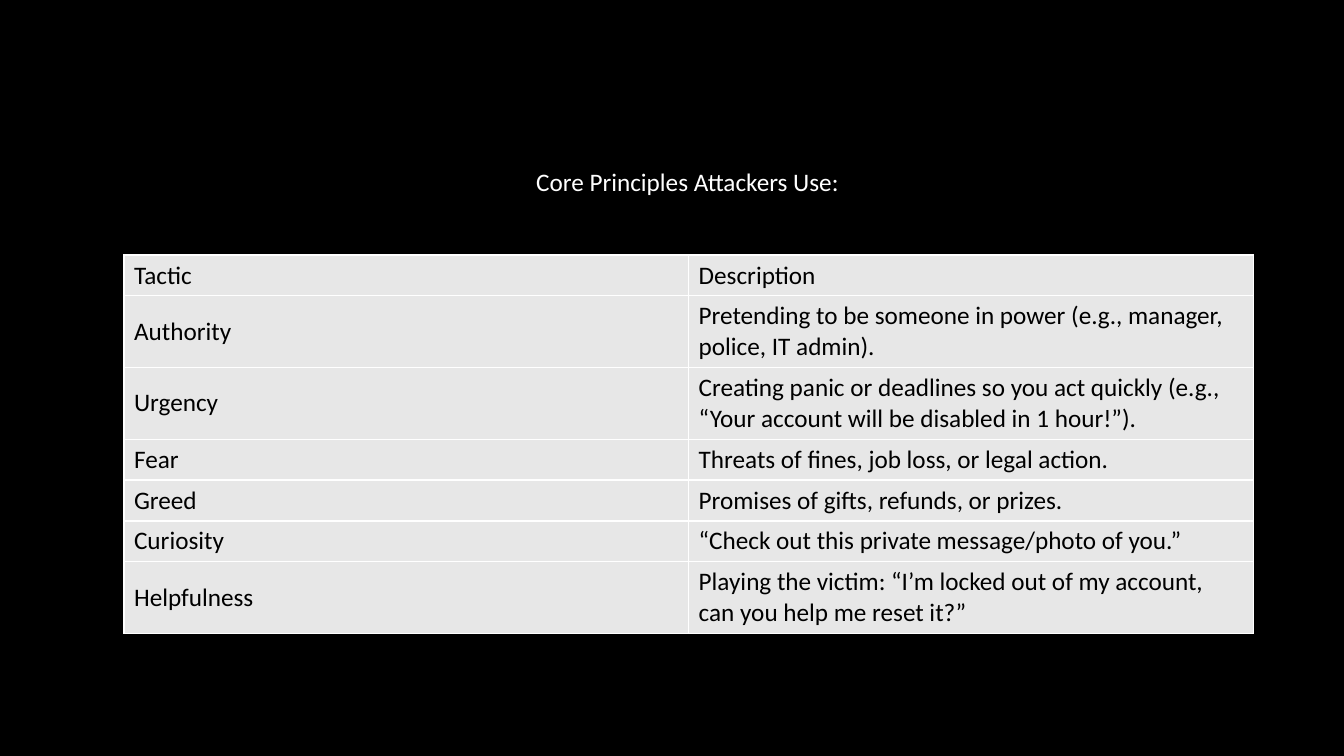
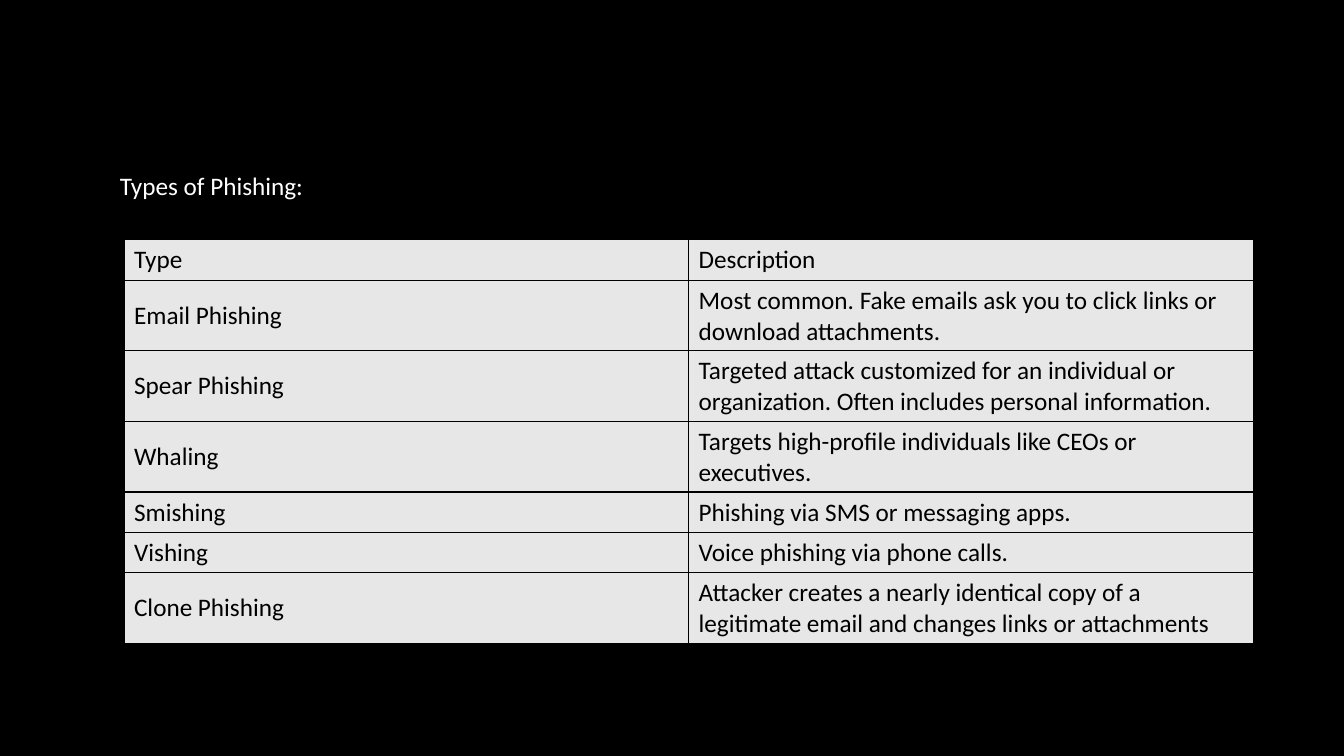
from dataclasses import dataclass

import lxml.etree
import pptx
import pptx.dml.color
import pptx.enum.text
import pptx.oxml.ns
import pptx.util

Inches = pptx.util.Inches

# Shared style
FONT = "Calibri"
TEXT_SIZE = 18
BLACK = "000000"
WHITE = "FFFFFF"
CELL_GREY = "E7E7E7"
TABLE_LEFT = 1.23
COLUMN_WIDTH = 5.6
LINE_ROW = 0.4
WRAPPED_ROW = 0.7
LINE_CAPACITY = 50  # characters that fit on one line of a column


@dataclass
class Topic:
    title: str
    title_left: float
    title_top: float
    title_width: float
    table_top: float
    border: str
    rows: list[tuple[str, str]]


TOPICS = [
    Topic("Core Principles Attackers Use:", 5.22, 1.6, 3.74, 2.53, WHITE, [
        ("Tactic", "Description"),
        ("Authority", "Pretending to be someone in power (e.g., manager, police, IT admin)."),
        ("Urgency", "Creating panic or deadlines so you act quickly (e.g., "
                    "“Your account will be disabled in 1 hour!”)."),
        ("Fear", "Threats of fines, job loss, or legal action."),
        ("Greed", "Promises of gifts, refunds, or prizes."),
        ("Curiosity", "“Check out this private message/photo of you.”"),
        ("Helpfulness", "Playing the victim: “I’m locked out of my account, "
                        "can you help me reset it?”"),
    ]),
    Topic("Types of Phishing:", 1.09, 1.64, 2.09, 2.38, BLACK, [
        ("Type", "Description"),
        ("Email Phishing", "Most common. Fake emails ask you to click links or "
                           "download attachments."),
        ("Spear Phishing", "Targeted attack customized for an individual or organization. "
                           "Often includes personal information."),
        ("Whaling", "Targets high-profile individuals like CEOs or executives."),
        ("Smishing", "Phishing via SMS or messaging apps."),
        ("Vishing", "Voice phishing via phone calls."),
        ("Clone Phishing", "Attacker creates a nearly identical copy of a legitimate email "
                           "and changes links or attachments"),
    ]),
]


def color(value: str) -> pptx.dml.color.RGBColor:
    return pptx.dml.color.RGBColor.from_string(value)


def write(frame, text: str, ink: str) -> None:
    frame.word_wrap = True
    para = frame.paragraphs[0]
    para.text = text
    para.font.name = FONT
    para.font.size = pptx.util.Pt(TEXT_SIZE)
    para.font.color.rgb = color(ink)


def add_borders(cell, ink: str) -> None:
    qn = pptx.oxml.ns.qn
    properties = cell._tc.get_or_add_tcPr()
    for side in ("a:lnL", "a:lnR", "a:lnT", "a:lnB"):
        line = lxml.etree.SubElement(properties, qn(side), w=str(pptx.util.Pt(1)))
        fill = lxml.etree.SubElement(line, qn("a:solidFill"))
        lxml.etree.SubElement(fill, qn("a:srgbClr"), val=ink)


def add_title(page, topic: Topic) -> None:
    box = page.shapes.add_textbox(Inches(topic.title_left), Inches(topic.title_top),
                                  Inches(topic.title_width), Inches(LINE_ROW))
    write(box.text_frame, topic.title, WHITE)
    box.text_frame.auto_size = pptx.enum.text.MSO_AUTO_SIZE.SHAPE_TO_FIT_TEXT


def add_table(page, topic: Topic) -> None:
    heights = [WRAPPED_ROW if len(description) > LINE_CAPACITY else LINE_ROW
               for _, description in topic.rows]
    table = page.shapes.add_table(len(topic.rows), 2, Inches(TABLE_LEFT), Inches(topic.table_top),
                                  Inches(2 * COLUMN_WIDTH), Inches(sum(heights))).table
    table.first_row = False
    table.horz_banding = False
    for column in table.columns:
        column.width = Inches(COLUMN_WIDTH)
    for row, height, texts in zip(table.rows, heights, topic.rows):
        row.height = Inches(height)
        for cell, text in zip(row.cells, texts):
            write(cell.text_frame, text, BLACK)
            cell.vertical_anchor = pptx.enum.text.MSO_ANCHOR.MIDDLE
            add_borders(cell, topic.border)
            cell.fill.solid()
            cell.fill.fore_color.rgb = color(CELL_GREY)


def main() -> None:
    deck = pptx.Presentation()
    deck.slide_width = Inches(13.33)
    deck.slide_height = Inches(7.5)
    for topic in TOPICS:
        page = deck.slides.add_slide(deck.slide_layouts[6])
        page.background.fill.solid()
        page.background.fill.fore_color.rgb = color(BLACK)
        add_table(page, topic)
        add_title(page, topic)
    deck.save("out.pptx")


if __name__ == "__main__":
    main()
